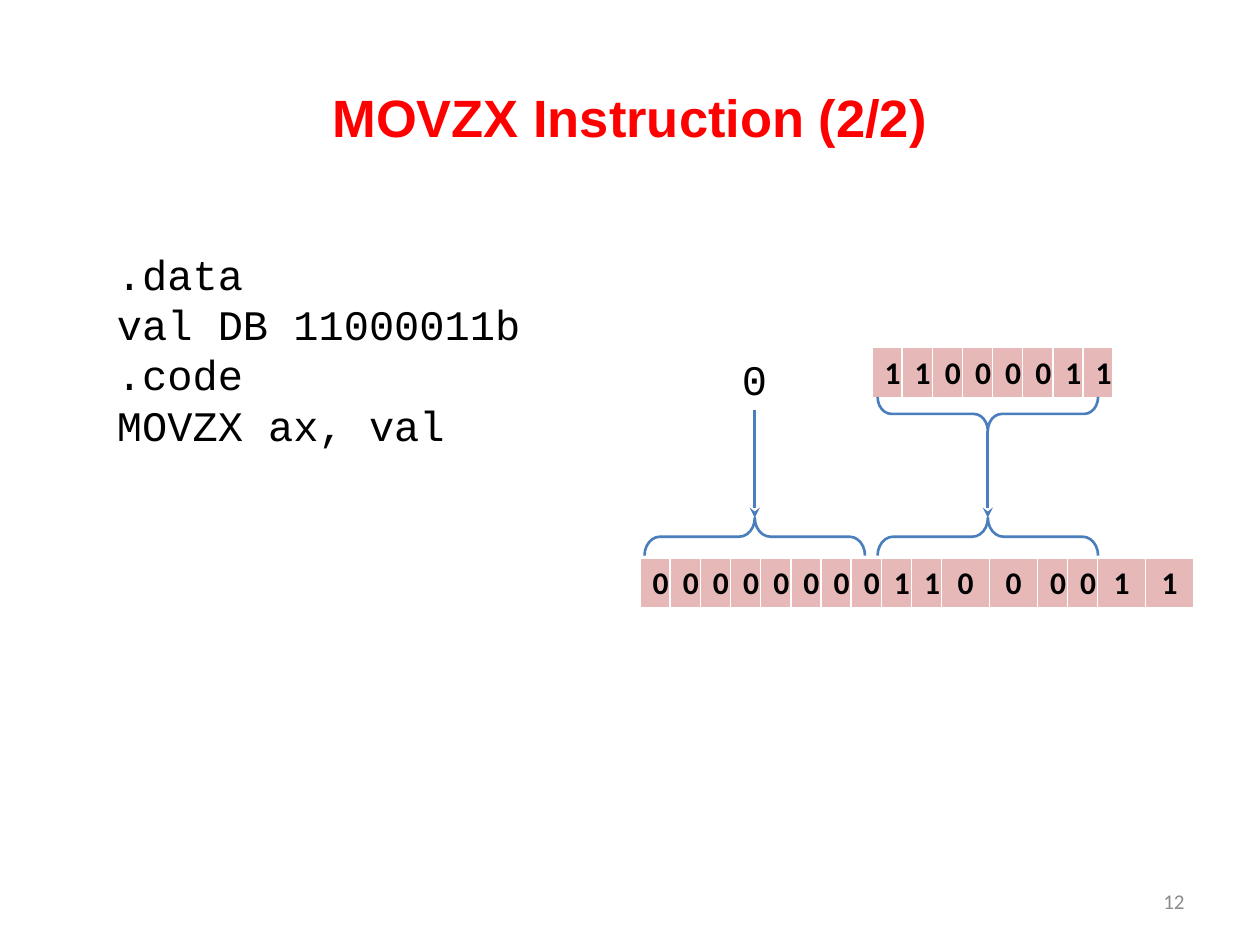
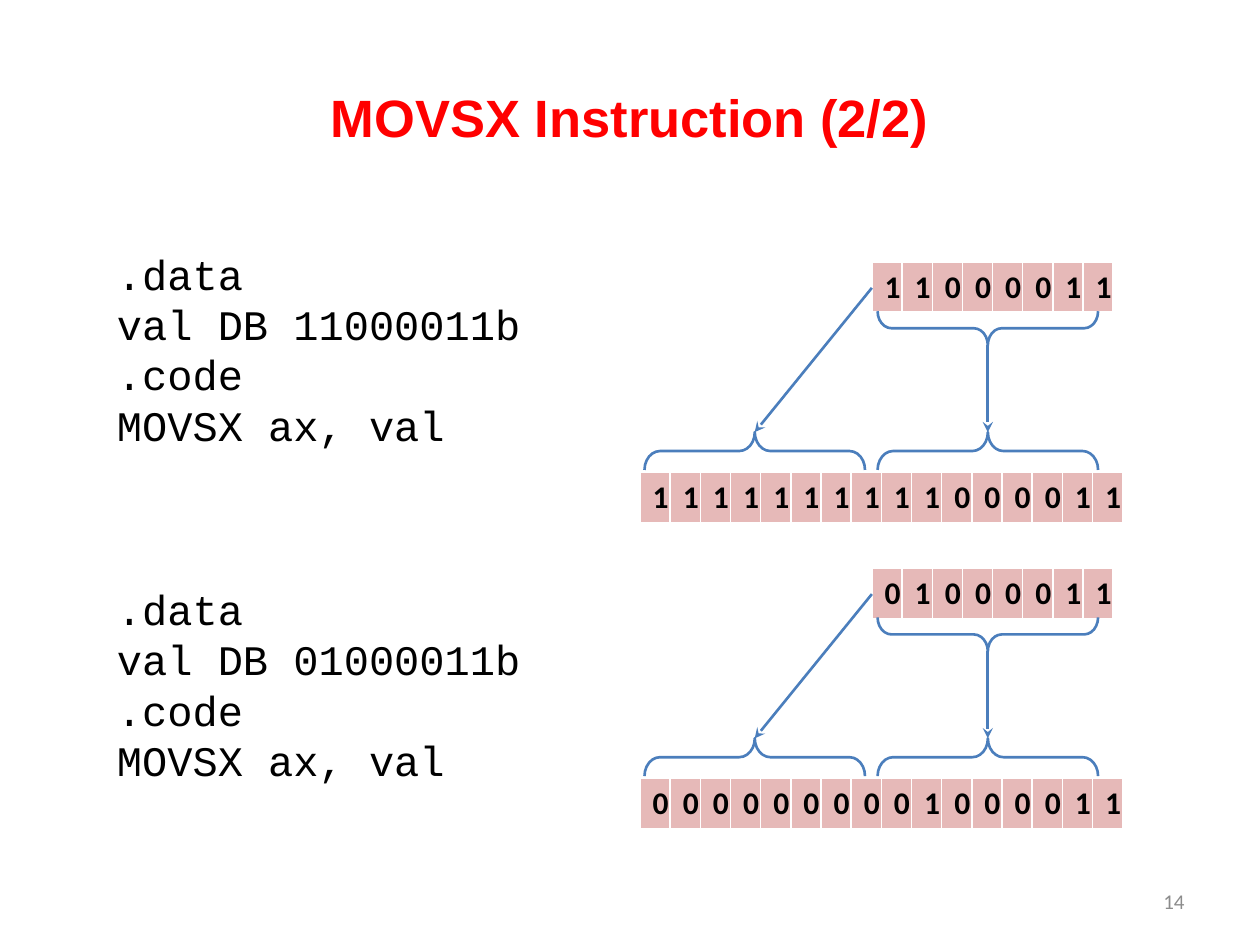
from dataclasses import dataclass

from lxml.etree import SubElement
from pptx import Presentation
from pptx.dml.color import RGBColor
from pptx.enum.shapes import MSO_CONNECTOR, MSO_SHAPE
from pptx.enum.text import MSO_ANCHOR, MSO_AUTO_SIZE, PP_ALIGN
from pptx.oxml.ns import qn
from pptx.slide import Slide
from pptx.util import Inches, Pt


@dataclass(frozen=True)
class Theme:
    title_color: RGBColor = RGBColor(0xFF, 0x00, 0x00)
    text_color: RGBColor = RGBColor(0x00, 0x00, 0x00)
    number_color: RGBColor = RGBColor(0x8C, 0x8C, 0x8C)
    bit_fill: RGBColor = RGBColor(0xE6, 0xB9, 0xB8)
    border_color: RGBColor = RGBColor(0xFF, 0xFF, 0xFF)
    line_color: RGBColor = RGBColor(0x4B, 0x7E, 0xBC)
    title_font: str = "Arial"
    body_font: str = "Calibri"
    code_font: str = "Courier New"
    title_size: Pt = Pt(30)
    code_size: Pt = Pt(24)
    bit_size: Pt = Pt(18)
    number_size: Pt = Pt(12)
    line_width: Pt = Pt(1.5)


@dataclass(frozen=True)
class Extension:
    instruction: str
    source: str
    fill_bit: str
    code_top: float
    diagram_top: float
    from_sign_bit: bool = True
    wide_columns: tuple[int, ...] = ()


@dataclass(frozen=True)
class Page:
    title: str
    number: int
    extensions: tuple[Extension, ...]


THEME = Theme()
BIT_WIDTH = 1.83 / 8
WIDE_BIT_WIDTH = 0.38
BIT_HEIGHT = 0.41
RESULT_LEFT = 5.08
SOURCE_LEFT = 6.92
HIGH_CENTER = 5.99
LOW_CENTER = 7.84
BRACE_WIDTH = 1.75
RESULT_OFFSET = 1.67
ARROW_END_OFFSET = 1.35

PAGES = (
    Page("MOVZX Instruction (2/2)", 12, (
        Extension("MOVZX", "11000011", "0", 1.92, 2.76, False, (10, 11, 14, 15)),
    )),
    Page("MOVSX Instruction (2/2)", 14, (
        Extension("MOVSX", "11000011", "1", 1.92, 2.08),
        Extension("MOVSX", "01000011", "0", 4.58, 4.51),
    )),
)


def add_text(slide: Slide, lines: list[str], left: float, top: float,
             width: float, height: float, font_name: str, size: Pt,
             color: RGBColor, alignment: PP_ALIGN = PP_ALIGN.LEFT,
             bold: bool = False, fit: bool = False) -> None:
    box = slide.shapes.add_textbox(Inches(left), Inches(top), Inches(width), Inches(height))
    frame = box.text_frame
    frame.text = "\n".join(lines)
    frame.word_wrap = not fit
    frame.auto_size = MSO_AUTO_SIZE.SHAPE_TO_FIT_TEXT if fit else MSO_AUTO_SIZE.NONE
    frame.vertical_anchor = MSO_ANCHOR.TOP if fit else MSO_ANCHOR.MIDDLE
    for paragraph in frame.paragraphs:
        paragraph.alignment = alignment
        paragraph.font.name = font_name
        paragraph.font.size = size
        paragraph.font.bold = bold
        paragraph.font.color.rgb = color


def add_code(slide: Slide, lines: list[str], left: float, top: float,
             width: float, height: float) -> None:
    add_text(slide, lines, left, top, width, height, THEME.code_font,
             THEME.code_size, THEME.text_color, fit=True)


def add_bits(slide: Slide, bits: str, left: float, top: float,
             wide_columns: tuple[int, ...] = ()) -> None:
    widths = [WIDE_BIT_WIDTH if index in wide_columns else BIT_WIDTH
              for index in range(len(bits))]
    table = slide.shapes.add_table(1, len(bits), Inches(left), Inches(top),
                                   Inches(sum(widths)), Inches(BIT_HEIGHT)).table
    table.horz_banding = False
    for column, width in zip(table.columns, widths):
        column.width = Inches(width)
    for cell, bit in zip(table.rows[0].cells, bits):
        properties = cell._tc.get_or_add_tcPr()
        for edge, points in (("lnL", 1), ("lnR", 1), ("lnT", 1), ("lnB", 3)):
            border = SubElement(properties, qn(f"a:{edge}"), w=str(Pt(points)))
            fill = SubElement(border, qn("a:solidFill"))
            SubElement(fill, qn("a:srgbClr"), val=str(THEME.border_color))
        cell.fill.solid()
        cell.fill.fore_color.rgb = THEME.bit_fill
        cell.text = bit
        paragraph = cell.text_frame.paragraphs[0]
        paragraph.alignment = PP_ALIGN.CENTER
        paragraph.font.name = THEME.body_font
        paragraph.font.size = THEME.bit_size
        paragraph.font.bold = True
        paragraph.font.color.rgb = THEME.text_color


def add_brace(slide: Slide, center: float, top: float, depth: float, rotation: int) -> None:
    shape = slide.shapes.add_shape(
        MSO_SHAPE.LEFT_BRACE, Inches(center - depth / 2),
        Inches(top + (depth - BRACE_WIDTH) / 2), Inches(depth), Inches(BRACE_WIDTH))
    shape.rotation = rotation
    shape.adjustments[0] = 0.41
    shape.shadow.inherit = False
    shape.fill.background()
    shape.line.color.rgb = THEME.line_color
    shape.line.width = THEME.line_width


def add_arrow(slide: Slide, start: tuple[float, float], end: tuple[float, float]) -> None:
    connector = slide.shapes.add_connector(
        MSO_CONNECTOR.STRAIGHT, *(Inches(value) for value in start + end))
    connector.line.color.rgb = THEME.line_color
    connector.line.width = THEME.line_width
    SubElement(connector.line._get_or_add_ln(), qn("a:tailEnd"), type="stealth")
    SubElement(connector._element.spPr, qn("a:effectLst"))


def add_extension(slide: Slide, extension: Extension) -> None:
    top = extension.diagram_top
    arrow_end = top + ARROW_END_OFFSET
    add_code(slide, [".data", f"val DB {extension.source}b", ".code",
                     f"{extension.instruction} ax, val"],
             0.83, extension.code_top, 3.43, 1.72)
    add_bits(slide, extension.fill_bit * 8 + extension.source, RESULT_LEFT,
             top + RESULT_OFFSET, extension.wide_columns)
    add_bits(slide, extension.source, SOURCE_LEFT, top)
    add_brace(slide, LOW_CENTER, top + 0.39, 0.27, 270)
    for center in (LOW_CENTER, HIGH_CENTER):
        add_brace(slide, center, arrow_end, 0.3, 90)
    add_arrow(slide, (LOW_CENTER, top + 0.66), (LOW_CENTER, arrow_end))
    if extension.from_sign_bit:
        high_start = (SOURCE_LEFT, top + BIT_HEIGHT / 2)
    else:
        add_code(slide, [extension.fill_bit], 5.79, top, 0.4, 0.5)
        high_start = (HIGH_CENTER, top + 0.49)
    add_arrow(slide, high_start, (HIGH_CENTER, arrow_end))


def add_page(presentation: Presentation, page: Page) -> None:
    slide = presentation.slides.add_slide(presentation.slide_layouts[6])
    add_text(slide, [page.title], 0.5, 0.3, 9, 1.25, THEME.title_font,
             THEME.title_size, THEME.title_color, PP_ALIGN.CENTER, bold=True)
    add_text(slide, [str(page.number)], 7.17, 6.95, 2.33, 0.4, THEME.body_font,
             THEME.number_size, THEME.number_color, PP_ALIGN.RIGHT)
    for extension in page.extensions:
        add_extension(slide, extension)


def main() -> None:
    presentation = Presentation()
    presentation.slide_width = Inches(10)
    presentation.slide_height = Inches(7.5)
    for page in PAGES:
        add_page(presentation, page)
    presentation.save("out.pptx")


main()
